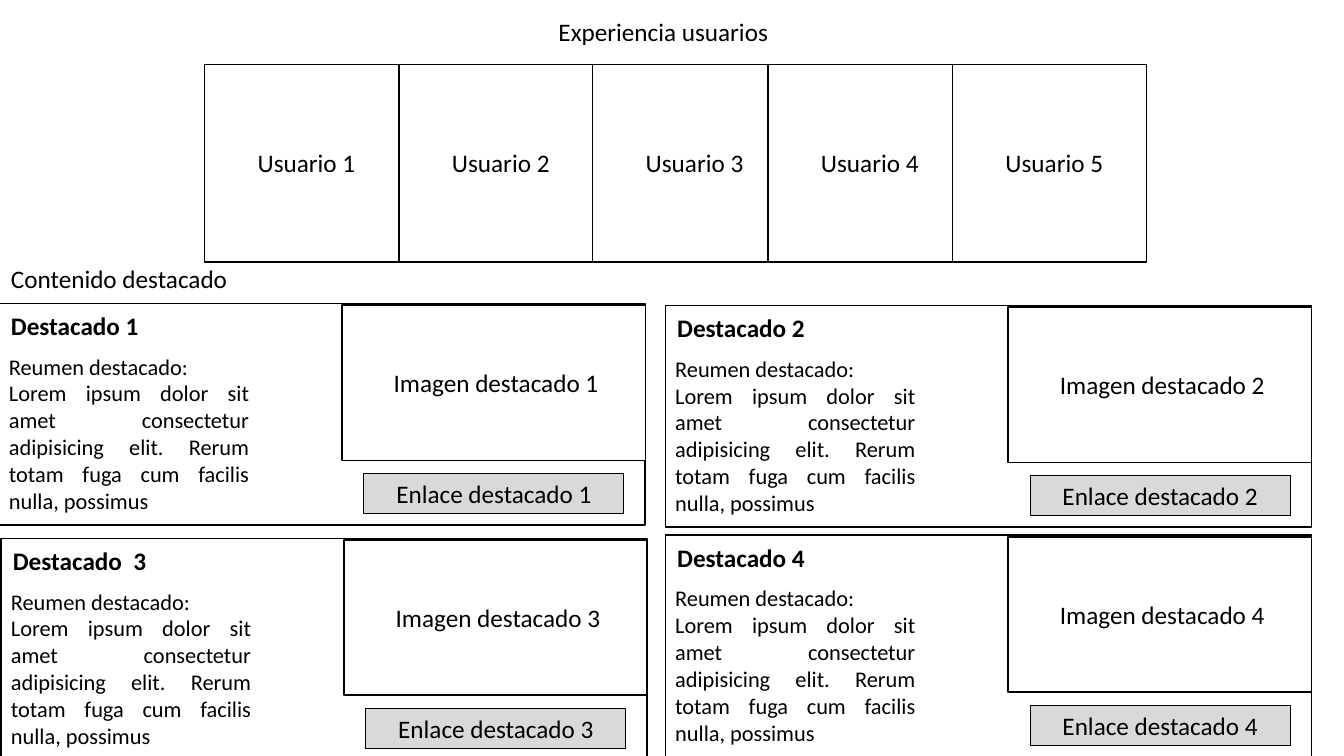
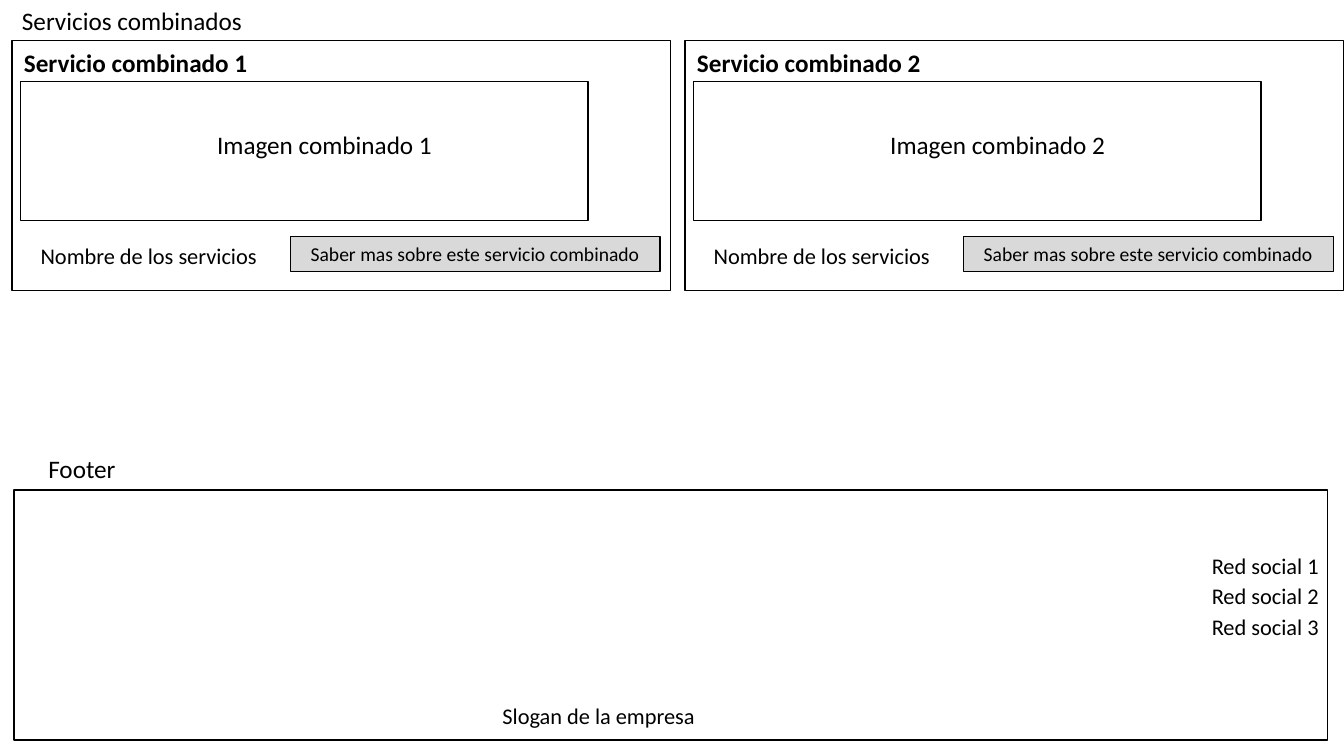
from pptx import Presentation
from pptx.dml.color import RGBColor
from pptx.enum.shapes import MSO_SHAPE
from pptx.enum.text import MSO_ANCHOR, PP_ALIGN
from pptx.util import Pt

FONT = "Calibri"
BLACK, WHITE, GREY = "000000", "FFFFFF", "D9D9D9"
LEFT, CENTER, RIGHT, JUSTIFY = (
    PP_ALIGN.LEFT, PP_ALIGN.CENTER, PP_ALIGN.RIGHT, PP_ALIGN.JUSTIFY)
LINE_H, SMALL_H = 29, 26.6
LABEL_W = 185.8
LOREM = ("Lorem ipsum dolor sit amet consectetur adipisicing elit. "
         "Rerum totam fuga cum facilis nulla, possimus")

USER_LEFTS = [146.2, 285, 423.4, 548.6, 680.4]
FEATURED = [
    ("Destacado 1", -0.7, 216.7),
    ("Destacado 2", 475.2, 218.2),
    ("Destacado  3", 0.7, 384.5),
    ("Destacado 4", 475.2, 382.3),
]


def color(value):
    return RGBColor.from_string(value)


def style(p, text, size, align, bold=False):
    p.text = text
    p.alignment = align
    p.font.name = FONT
    p.font.size = Pt(size)
    p.font.bold = bold
    p.font.color.rgb = color(BLACK)


def add_text(s, x, y, w, h, text, size=18, align=LEFT, bold=False):
    tf = s.shapes.add_textbox(Pt(x), Pt(y), Pt(w), Pt(h)).text_frame
    tf.word_wrap = True
    style(tf.paragraphs[0], text, size, align, bold)
    return tf


def add_box(s, x, y, w, h, fill=WHITE, line=1):
    sp = s.shapes.add_shape(MSO_SHAPE.RECTANGLE, Pt(x), Pt(y), Pt(w), Pt(h))
    sp.shadow.inherit = False
    sp.fill.solid()
    sp.fill.fore_color.rgb = color(fill)
    sp.line.color.rgb = color(BLACK)
    sp.line.width = Pt(line)
    return sp


def add_button(s, x, y, w, h, text, size=18):
    tf = add_box(s, x, y, w, h, GREY, 0.75).text_frame
    tf.word_wrap = True
    tf.vertical_anchor = MSO_ANCHOR.MIDDLE
    style(tf.paragraphs[0], text, size, CENTER)


def add_user(s, x, y, w, h, number):
    add_box(s, x, y, w, h)
    add_text(s, x + 28.8, y + 55.4, 87.8, LINE_H, f"Usuario {number}", align=CENTER)


def add_featured(s, x, y, w, h, title, number):
    add_box(s, x, y, w, h)
    add_text(s, x + 1.4, y + 1.4, 123.8, LINE_H, title, bold=True)
    tf = add_text(s, x, y + 31.7, LABEL_W, 123.8, "Reumen destacado:", 16)
    style(tf.add_paragraph(), LOREM, 16, JUSTIFY)
    image_w = 216.7
    add_box(s, x + w - image_w, y + 1.2, image_w, 110.9)
    add_text(s, x + 262.1, y + 42, LABEL_W, LINE_H,
             f"Imagen destacado {number}", align=CENTER)
    add_button(s, x + 260.6, y + 121.3, LABEL_W, LINE_H, f"Enlace destacado {number}")


def add_service(s, x, y, w, h, number):
    add_box(s, x, y, w, h)
    add_text(s, x + 1.4, y + 1.4, 208.8, LINE_H, f"Servicio combinado {number}", bold=True)
    add_text(s, x + 13.3, y + 140.4, LABEL_W, SMALL_H, "Nombre de los servicios", 16)
    add_box(s, x + 6.1, y + 29.5, 405.4, 99.4)
    add_text(s, x + 130.3, y + 59.8, LABEL_W, LINE_H,
             f"Imagen combinado {number}", align=CENTER)
    add_button(s, x + 198.7, y + 140.4, 264.2, 24.5,
               "Saber mas sobre este servicio combinado", 14)


def add_footer(s, x, y, w, h):
    add_box(s, x, y, w, h)
    add_text(s, x + 17.3, y - 29.5, 208.8, LINE_H, "Footer")
    for i in range(3):
        add_text(s, x + w - LABEL_W + 0.7, y + 41 + 21.6 * i, LABEL_W, SMALL_H,
                 f"Red social {i + 1}", 16, RIGHT)
    add_text(s, x + 307.4, y + 148.2, LABEL_W, SMALL_H, "Slogan de la empresa", 16, RIGHT)


def build_featured_slide(s):
    add_text(s, 316.1, 7.9, 315.4, LINE_H, "Experiencia usuarios", align=CENTER)
    for number, x in enumerate(USER_LEFTS, 1):
        add_user(s, x, 46.1, 138.4, 141, number)
    add_text(s, 0.7, 184.4, 315.4, LINE_H, "Contenido destacado")
    for number, (title, x, y) in enumerate(FEATURED, 1):
        add_featured(s, x, y, 461.6, 158.4, title, number)


def build_services_slide(s):
    add_text(s, 8.6, 0, 315.4, LINE_H, "Servicios combinados")
    for i in range(2):
        add_service(s, 8.6 + 480.8 * i, 28.8, 470.4, 178.6, i + 1)
    add_footer(s, 10.1, 349.9, 938.2, 178.6)


def main():
    prs = Presentation()
    prs.slide_width, prs.slide_height = Pt(960), Pt(540)
    for build in (build_featured_slide, build_services_slide):
        build(prs.slides.add_slide(prs.slide_layouts[6]))
    prs.save("out.pptx")


if __name__ == "__main__":
    main()
